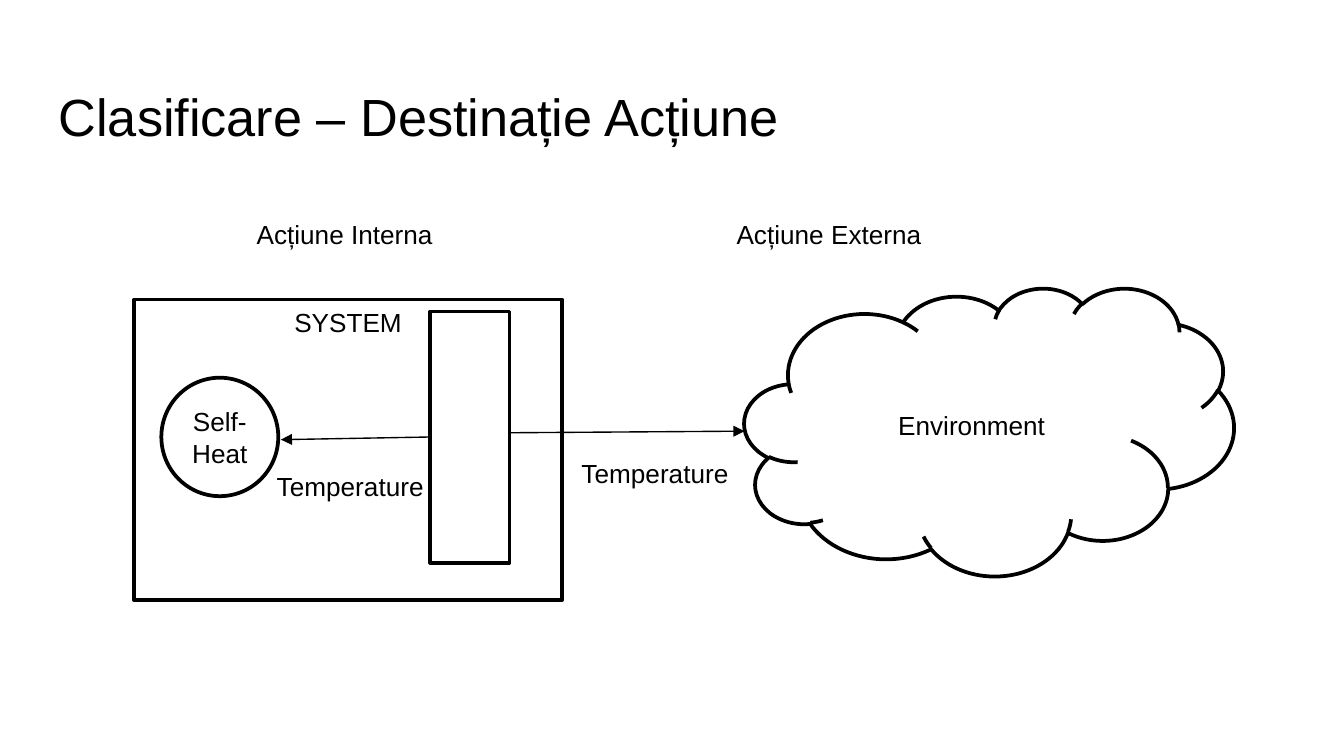
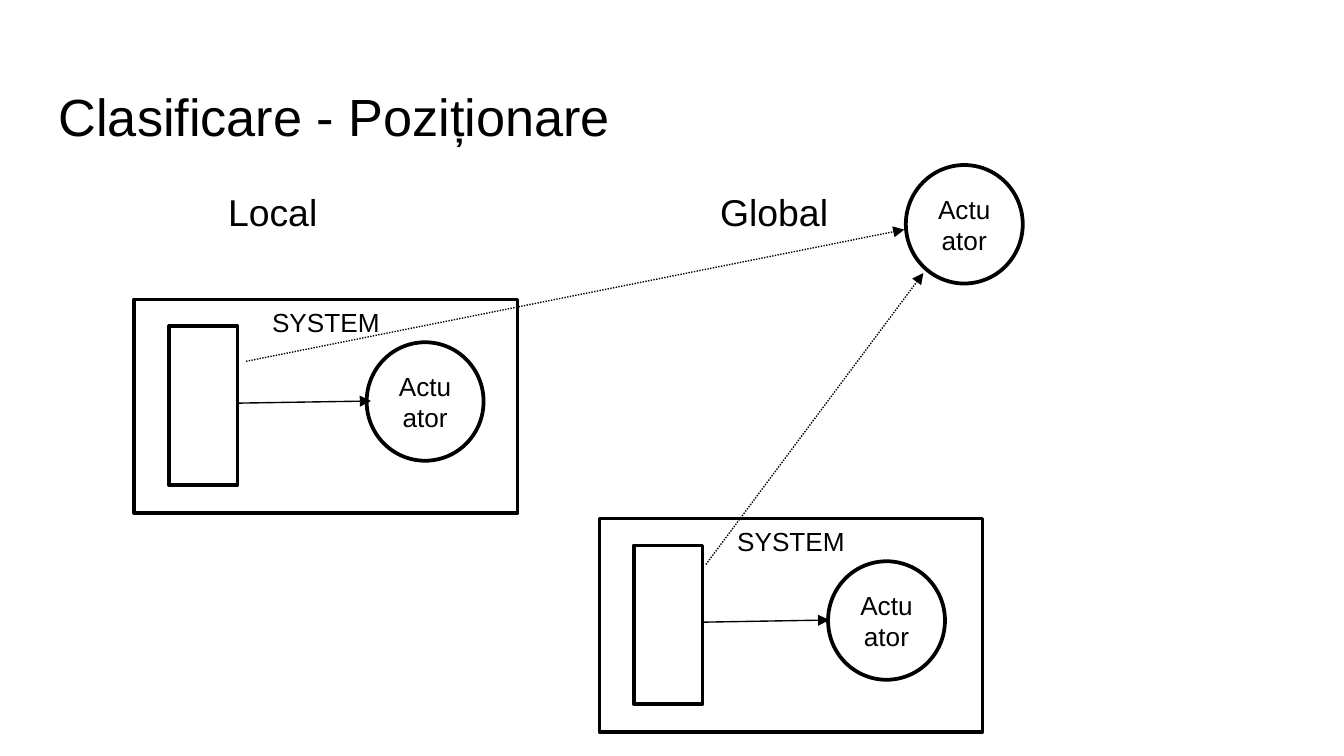
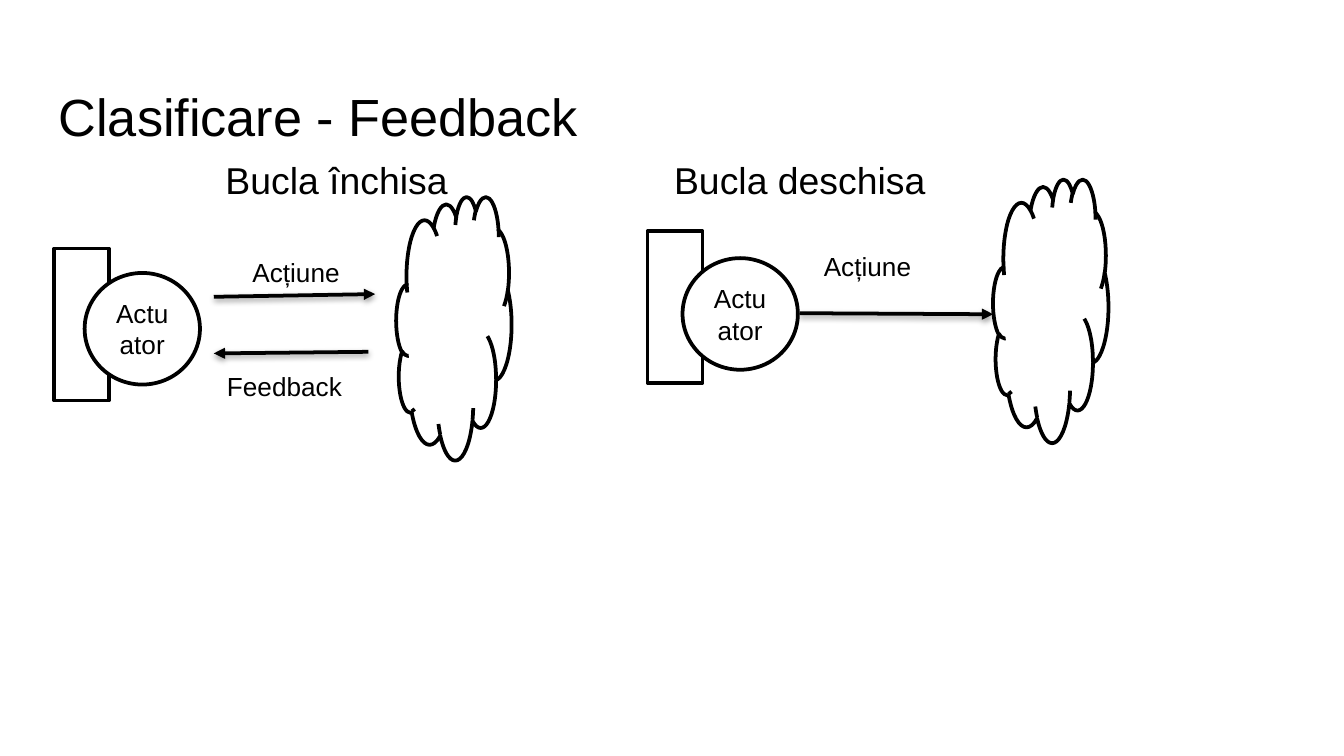
"""Build three slides that classify actuators by target, position and feedback."""
from dataclasses import dataclass

import lxml.etree
import pptx
import pptx.dml.color
import pptx.enum.dml
import pptx.enum.shapes
import pptx.enum.text
import pptx.oxml
import pptx.oxml.ns
import pptx.util

Cm = pptx.util.Cm
Pt = pptx.util.Pt
Kind = pptx.enum.shapes.MSO_SHAPE
Align = pptx.enum.text.PP_ALIGN
Anchor = pptx.enum.text.MSO_ANCHOR
qn = pptx.oxml.ns.qn


@dataclass(frozen=True)
class Theme:
    font: str = "Arial"
    ink: str = "000000"
    paper: str = "FFFFFF"
    title_size: int = 28
    heading_size: int = 20
    label_size: int = 14
    outline: float = 2
    thin: float = 0.75


THEME = Theme()
LABEL_HEIGHT = 0.86
HEADING_WIDTH = 13.89
BALL = (2.21, 2.24)


def color(value):
    return pptx.dml.color.RGBColor.from_string(value)


def write(frame, text, *, size=THEME.label_size, align=Align.LEFT,
          anchor=Anchor.TOP, tab=None):
    frame.word_wrap = True
    frame.vertical_anchor = anchor
    paragraph = frame.paragraphs[0]
    paragraph.alignment = align
    if tab is not None:
        stops = lxml.etree.SubElement(
            paragraph._p.get_or_add_pPr(), qn("a:tabLst"))
        lxml.etree.SubElement(
            stops, qn("a:tab"), pos=str(int(Cm(tab))), algn="l")
    run = paragraph.add_run()
    run.text = text
    run.font.name = THEME.font
    run.font.size = Pt(size)
    run.font.color.rgb = color(THEME.ink)


class Deck:
    def __init__(self, theme):
        self.theme = theme
        self.presentation = pptx.Presentation()
        self.presentation.slide_width = Cm(25.4)
        self.presentation.slide_height = Cm(14.29)
        self.slide = None

    def start_slide(self, title):
        layout = self.presentation.slide_layouts[6]
        self.slide = self.presentation.slides.add_slide(layout)
        box = self.slide.shapes.add_textbox(
            Cm(0.86), Cm(1.24), Cm(23.67), Cm(1.6))
        box.text_frame.margin_top = Cm(0.36)
        box.text_frame.margin_bottom = 0
        write(box.text_frame, title, size=self.theme.title_size)

    def label(self, text, left, top, width, height=LABEL_HEIGHT, **style):
        box = self.slide.shapes.add_textbox(
            Cm(left), Cm(top), Cm(width), Cm(height))
        write(box.text_frame, text, **style)
        box.text_frame.auto_size = pptx.enum.text.MSO_AUTO_SIZE.SHAPE_TO_FIT_TEXT

    def headings(self, first, second, left, top, tab, **style):
        self.label(f"{first}\t{second}", left, top, HEADING_WIDTH,
                   tab=tab, **style)

    def outline(self, kind, left, top, width, height, text="",
                anchor=Anchor.MIDDLE):
        shape = self.slide.shapes.add_shape(
            kind, Cm(left), Cm(top), Cm(width), Cm(height))
        shape.shadow.inherit = False
        shape.fill.solid()
        shape.fill.fore_color.rgb = color(self.theme.paper)
        shape.line.color.rgb = color(self.theme.ink)
        shape.line.width = Pt(self.theme.outline)
        if text:
            write(shape.text_frame, text, align=Align.CENTER, anchor=anchor)

    def system(self, left, top, width, height):
        self.outline(Kind.RECTANGLE, left, top, width, height, "SYSTEM",
                     Anchor.TOP)

    def arrow(self, start, end, width=THEME.thin, dotted=False, shadow=False):
        connector = self.slide.shapes.add_connector(
            pptx.enum.shapes.MSO_CONNECTOR.STRAIGHT,
            *(Cm(value) for value in (*start, *end)))
        connector.line.color.rgb = color(self.theme.ink)
        connector.line.width = Pt(width)
        if dotted:
            connector.line.dash_style = pptx.enum.dml.MSO_LINE.ROUND_DOT
        properties = connector._element.spPr
        lxml.etree.SubElement(
            properties.find(qn("a:ln")), qn("a:tailEnd"), type="triangle")
        effects = lxml.etree.SubElement(properties, qn("a:effectLst"))
        if shadow:
            outer = lxml.etree.SubElement(
                effects, qn("a:outerShdw"), blurRad="40000", dist="20000",
                dir="5400000", rotWithShape="0")
            tint = lxml.etree.SubElement(
                outer, qn("a:srgbClr"), val=self.theme.ink)
            lxml.etree.SubElement(tint, qn("a:alpha"), val="38000")

    def local_system(self, left, top, actuator_left, arrow_end):
        self.system(left, top, 7.24, 4.04)
        self.outline(Kind.RECTANGLE, left + 0.65, top + 0.51, 1.3, 3)
        self.outline(Kind.OVAL, actuator_left, top + 0.81, *BALL, "Actuator")
        self.arrow((left + 1.96, top + 1.96), (arrow_end, top + 1.92))

    def loop(self, controller, actuator, cloud, arrows):
        self.outline(Kind.RECTANGLE, *controller, 1.04, 2.87)
        self.outline(Kind.OVAL, *actuator, 2.18, 2.11, "Actuator")
        for start, end in arrows:
            self.arrow(start, end, width=self.theme.outline, shadow=True)
        self.outline(Kind.CLOUD, *cloud, 2.18, 4.98)


def add_destination(deck):
    deck.start_slide("Clasificare – Destinație Acțiune")
    deck.headings("Acțiune Interna", "Acțiune Externa", 4.6, 4.01, 9.07)
    deck.system(2.54, 5.66, 8.08, 5.69)
    deck.outline(Kind.CLOUD, 14.07, 5.44, 9.25, 5.44, "Environment")
    deck.outline(Kind.RECTANGLE, 8.13, 5.89, 1.5, 4.75)
    deck.outline(Kind.OVAL, 3.05, 7.14, *BALL, "Self-Heat")
    deck.arrow((8.13, 8.26), (5.31, 8.31))
    deck.arrow((9.63, 8.18), (14.07, 8.15))
    for left, top in ((4.98, 8.76), (10.74, 8.53)):
        deck.label("Temperature", left, top, 3.33)


def add_position(deck):
    deck.start_slide("Clasificare - Poziționare")
    deck.headings("Local", "Global", 4.06, 3.45, 9.3, height=1.12,
                  size=deck.theme.heading_size)
    deck.local_system(2.54, 5.66, actuator_left=6.93, arrow_end=7.01)
    deck.outline(Kind.OVAL, 17.12, 3.12, *BALL, "Actuator")
    deck.local_system(11.33, 9.8, actuator_left=15.65, arrow_end=15.67)
    deck.arrow((4.65, 6.83), (17.09, 4.34), dotted=True)
    deck.arrow((13.34, 10.67), (17.45, 5.16), dotted=True)


def add_feedback(deck):
    deck.start_slide("Clasificare - Feedback")
    deck.headings("Bucla închisa", "Bucla deschisa", 4.01, 2.84, 8.48,
                  height=1.12, size=deck.theme.heading_size)
    deck.loop(controller=(1.02, 4.7), actuator=(1.6, 5.16), cloud=(7.49, 3.71),
              arrows=[((4.04, 5.61), (7.09, 5.56)),
                      ((6.96, 6.65), (4.04, 6.68))])
    deck.label("Acțiune", 4.52, 4.72, 2.21)
    deck.label("Feedback", 4.04, 6.88, 3.18)
    deck.loop(controller=(12.24, 4.37), actuator=(12.9, 4.88),
              cloud=(18.77, 3.38), arrows=[((15.11, 5.92), (18.77, 5.94))])
    deck.label("Acțiune", 15.32, 4.6, 3.18)


def main():
    deck = Deck(THEME)
    add_destination(deck)
    add_position(deck)
    add_feedback(deck)
    deck.presentation.save("out.pptx")


if __name__ == "__main__":
    main()
